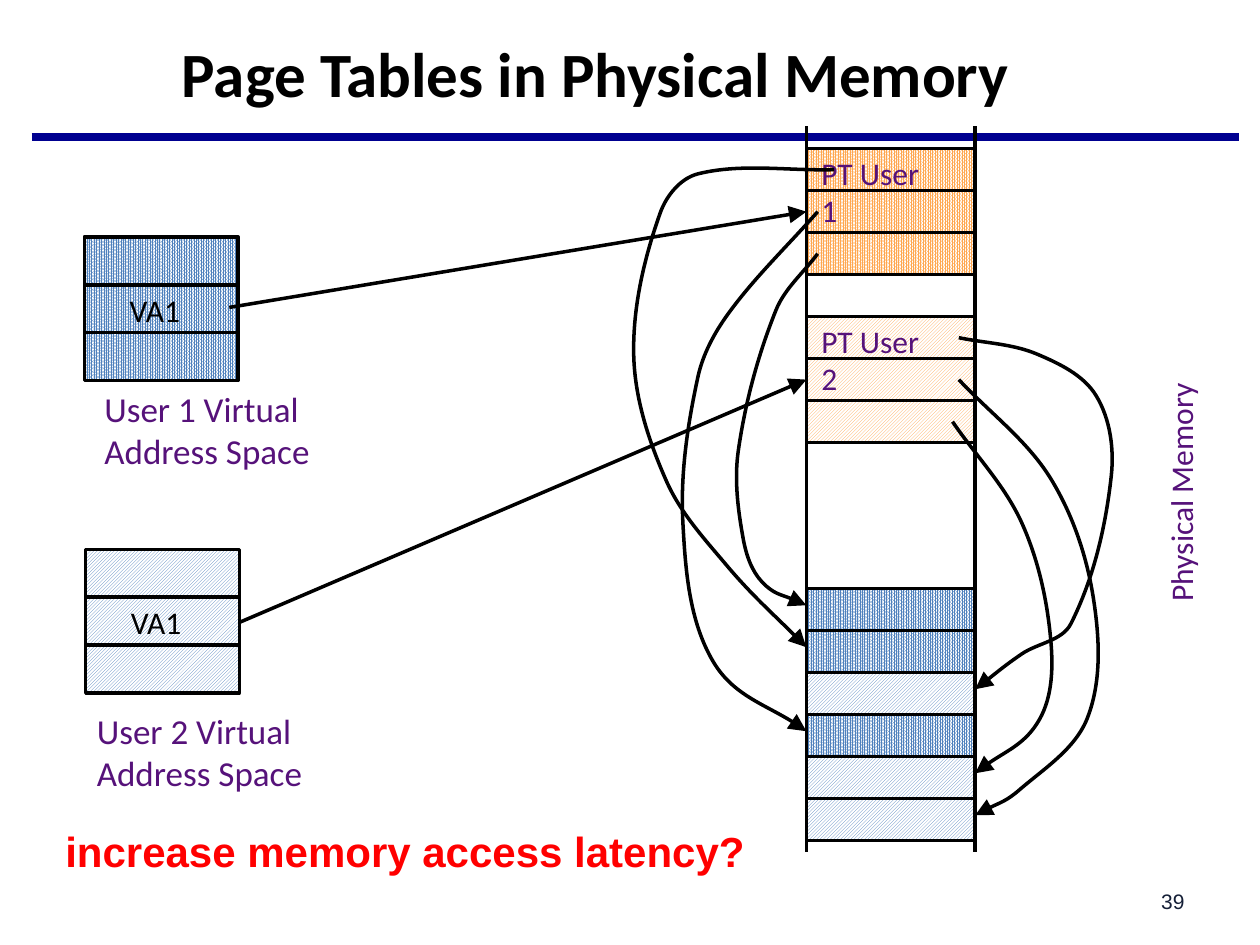
import math

import pptx
import pptx.dml.color
import pptx.enum.dml
import pptx.enum.shapes
import pptx.enum.text
import pptx.oxml
import pptx.oxml.ns
import pptx.util
from pptx.util import Inches

BLACK, WHITE, NAVY, PURPLE = "000000", "FFFFFF", "000090", "56127A"
RED, DARK, BLUE, ORANGE = "FF0000", "151F37", "4F81BD", "FFA74F"
DENSE = pptx.enum.dml.MSO_PATTERN.PERCENT_90
DIAGONAL = pptx.enum.dml.MSO_PATTERN.DARK_UPWARD_DIAGONAL
ALIGN = pptx.enum.text.PP_ALIGN
ANCHOR = pptx.enum.text.MSO_ANCHOR
LEFT_SIDE = 1

# Physical memory is one column: page tables above, page frames below.
MEMORY_LEFT, MEMORY_RIGHT = 6.4, 7.74
CELL_HEIGHT = 1 / 3
TABLES_TOP, FRAMES_TOP = 1.18, 4.67
FRAME_ENTRY = 0.4  # height within a frame at which an arrow arrives

USER_WIDTH, USER_PAGE_HEIGHT = 1.22, 0.38

# Each mapping: table row, frame number, x of the start, bends on the way.
LEFT_MAPPINGS = [
    (0, 1, 6.62, [(5.54, 1.38), (5.24, 1.69), (5.03, 2.82), (5.29, 3.82), (5.77, 4.49)]),
    (1, 3, 6.49, [(5.78, 2.49), (5.54, 2.99), (5.42, 4.14), (5.66, 5.25)]),
    (2, 0, 6.49, [(6.16, 2.46), (5.86, 3.58), (5.9, 4.28), (6.05, 4.62)]),
]
RIGHT_MAPPINGS = [
    (4, 2, 7.61, [(8.23, 2.81), (8.7, 3.14), (8.82, 3.78), (8.5, 4.95), (8.11, 5.19)]),
    (5, 5, 7.61, [(8.34, 3.8), (8.68, 4.76), (8.63, 5.7), (8.09, 6.27)]),
    (6, 4, 7.56, [(8.11, 4.15), (8.34, 5.08), (8.25, 5.71)]),
]


def rgb(value):
    return pptx.dml.color.RGBColor.from_string(value)


def element(tag, attributes=""):
    return pptx.oxml.parse_xml(f'<{tag} {pptx.oxml.ns.nsdecls("a")} {attributes}/>')


def smooth_controls(points):
    """Return start, then two controls and an end for each step between points.

    The direction at a point is parallel to the chord between its neighbours;
    each control lies a third of the step's length along that direction.
    """
    directions = []
    for index in range(len(points)):
        before, after = points[max(index - 1, 0)], points[min(index + 1, len(points) - 1)]
        chord = math.dist(before, after)
        directions.append([(b - a) / chord for a, b in zip(before, after)])

    controls = [points[0]]
    for index, (start, end) in enumerate(zip(points, points[1:])):
        reach = math.dist(start, end) / 3
        leaving, arriving = directions[index], directions[index + 1]
        controls += [tuple(p + reach * d for p, d in zip(start, leaving)),
                     tuple(p - reach * d for p, d in zip(end, arriving)),
                     end]
    return controls


class SlideBuilder:
    """Holds the slide's shapes and the common line and text style."""

    font, line_width = "Calibri", 2

    def __init__(self, slide):
        self.shapes = slide.shapes

    def text(self, content, left, top, width, height, size, color=PURPLE, font=None,
             bold=False, align=ALIGN.LEFT, anchor=ANCHOR.TOP, wrap=True, rotation=0):
        box = self.shapes.add_textbox(*map(Inches, (left, top, width, height)))
        box.rotation = rotation
        frame = box.text_frame
        frame.text = content
        frame.word_wrap = wrap
        frame.vertical_anchor = anchor
        paragraph = frame.paragraphs[0]
        paragraph.alignment = align
        run_font = paragraph.runs[0].font
        run_font.name, run_font.size = font or self.font, pptx.util.Pt(size)
        run_font.bold, run_font.color.rgb = bold, rgb(color)

    def outline(self, shape, color=BLACK, width=None, arrow=False):
        shape.line.color.rgb = rgb(color)
        shape.line.width = pptx.util.Pt(width or self.line_width)
        if arrow:
            line = shape._element.spPr.find(pptx.oxml.ns.qn("a:ln"))
            line.append(element("a:tailEnd", 'type="triangle" w="lg" len="lg"'))

    def cell(self, left, top, width, height, color, pattern=None):
        shape = self.shapes.add_shape(pptx.enum.shapes.MSO_SHAPE.RECTANGLE,
                                      *map(Inches, (left, top, width, height)))
        shape.shadow.inherit = False
        if pattern is None:
            shape.fill.solid()
        else:
            shape.fill.patterned()
            shape.fill.pattern = pattern
            shape.fill.back_color.rgb = rgb(WHITE)
        shape.fill.fore_color.rgb = rgb(color)
        self.outline(shape)
        return shape

    def line(self, start, end, color=BLACK, width=None):
        connector = self.shapes.add_connector(
            pptx.enum.shapes.MSO_CONNECTOR.STRAIGHT, *map(Inches, start + end))
        self.outline(connector, color, width)
        connector._element.spPr.append(element("a:effectLst"))

    def arrow_to(self, start, target):
        """Draw an arrow to the middle of the target's left side."""
        connector = self.shapes.add_connector(
            pptx.enum.shapes.MSO_CONNECTOR.STRAIGHT, *map(Inches, start + start))
        connector.end_connect(target, LEFT_SIDE)
        self.outline(connector, arrow=True)
        connector._element.spPr.append(element("a:effectLst"))

    def curved_arrow(self, points):
        start, *controls = [tuple(map(Inches, point)) for point in smooth_controls(points)]
        builder = self.shapes.build_freeform(*start)
        builder.add_line_segments(controls, close=False)
        shape = builder.convert_to_shape()
        # Turn every three straight segments into one cubic curve.
        outline = next(shape._element.iter(pptx.oxml.ns.qn("a:path")))
        segments = outline.findall(pptx.oxml.ns.qn("a:lnTo"))
        for first in range(0, len(segments), 3):
            cubic = element("a:cubicBezTo")
            outline.append(cubic)
            for segment in segments[first:first + 3]:
                cubic.append(segment[0])
                outline.remove(segment)
        shape.shadow.inherit = False
        shape.fill.background()
        self.outline(shape, arrow=True)

    def memory_cells(self, top, fills):
        return [self.cell(MEMORY_LEFT, top + row * CELL_HEIGHT,
                          MEMORY_RIGHT - MEMORY_LEFT, CELL_HEIGHT, *fill)
                for row, fill in enumerate(fills)]

    def mappings(self, mappings, side):
        """Draw arrows from table rows to the given side of page frames."""
        for row, frame, start_x, bends in mappings:
            start = (start_x, TABLES_TOP + (row + 0.5) * CELL_HEIGHT)
            end = (side, FRAMES_TOP + (frame + FRAME_ENTRY) * CELL_HEIGHT)
            self.curved_arrow([start, *bends, end])

    def user_space(self, left, top, pattern):
        self.cell(left, top, USER_WIDTH, 3 * USER_PAGE_HEIGHT, BLUE, pattern)
        for row in (1, 2):
            y = top + row * USER_PAGE_HEIGHT
            self.line((left, y), (left + USER_WIDTH, y))
        self.text("VA1", left + 0.26, top + USER_PAGE_HEIGHT, 0.62, 0.4, 18, BLACK, wrap=False)


def main():
    presentation = pptx.Presentation()
    presentation.slide_width, presentation.slide_height = Inches(10), Inches(7.5)
    builder = SlideBuilder(presentation.slides.add_slide(presentation.slide_layouts[6]))

    builder.line((0.25, 1.09), (9.83, 1.09), NAVY, 4.5)
    builder.text("Page Tables in Physical Memory", 0.33, 0.08, 8.79, 0.99, 36, BLACK,
                 bold=True, align=ALIGN.CENTER, anchor=ANCHOR.MIDDLE)
    builder.text("39", 7.17, 6.95, 2.33, 0.4, 12, DARK, "Arial",
                 align=ALIGN.RIGHT, anchor=ANCHOR.MIDDLE)

    user_1_page, user_2_page = (BLUE, DENSE), (BLUE, DIAGONAL)
    user_1_table, user_2_table = [(ORANGE, DENSE)] * 3, [(ORANGE, DIAGONAL)] * 3
    table_rows = builder.memory_cells(TABLES_TOP, user_1_table + [(WHITE,)] + user_2_table)
    builder.memory_cells(FRAMES_TOP, [user_1_page, user_1_page, user_2_page,
                                      user_1_page, user_2_page, user_2_page])
    for x in (MEMORY_LEFT, MEMORY_RIGHT):
        builder.line((x, 1), (x, 6.76))

    users = [  # space left and top, pattern, label left and top, arrow start, first table row
        (0.67, 1.88, DENSE, 0.73, 3.03, (1.82, 2.44), 0),
        (0.68, 4.36, DIAGONAL, 0.67, 5.58, (1.9, 4.94), 4),
    ]
    for number, user in enumerate(users, start=1):
        left, top, pattern, label_left, label_top, arrow_start, first_row = user
        builder.user_space(left, top, pattern)
        builder.text(f"User {number} Virtual Address Space",
                     label_left, label_top, 2.61, 0.77, 20)
        builder.text(f"PT User {number}", MEMORY_LEFT + 0.02,
                     TABLES_TOP + first_row * CELL_HEIGHT - 0.01, 1, 0.7, 18)
        builder.arrow_to(arrow_start, table_rows[first_row + 1])

    builder.mappings(LEFT_MAPPINGS, MEMORY_LEFT)
    builder.mappings(RIGHT_MAPPINGS, MEMORY_RIGHT)

    builder.text("Physical Memory", 8.1, 3.4, 2.54, 0.4, 18, rotation=270)
    builder.text("increase memory access latency?", 0.42, 6.5, 5.83, 0.5, 24, RED, "Arial",
                 bold=True)
    presentation.save("out.pptx")


if __name__ == "__main__":
    main()
